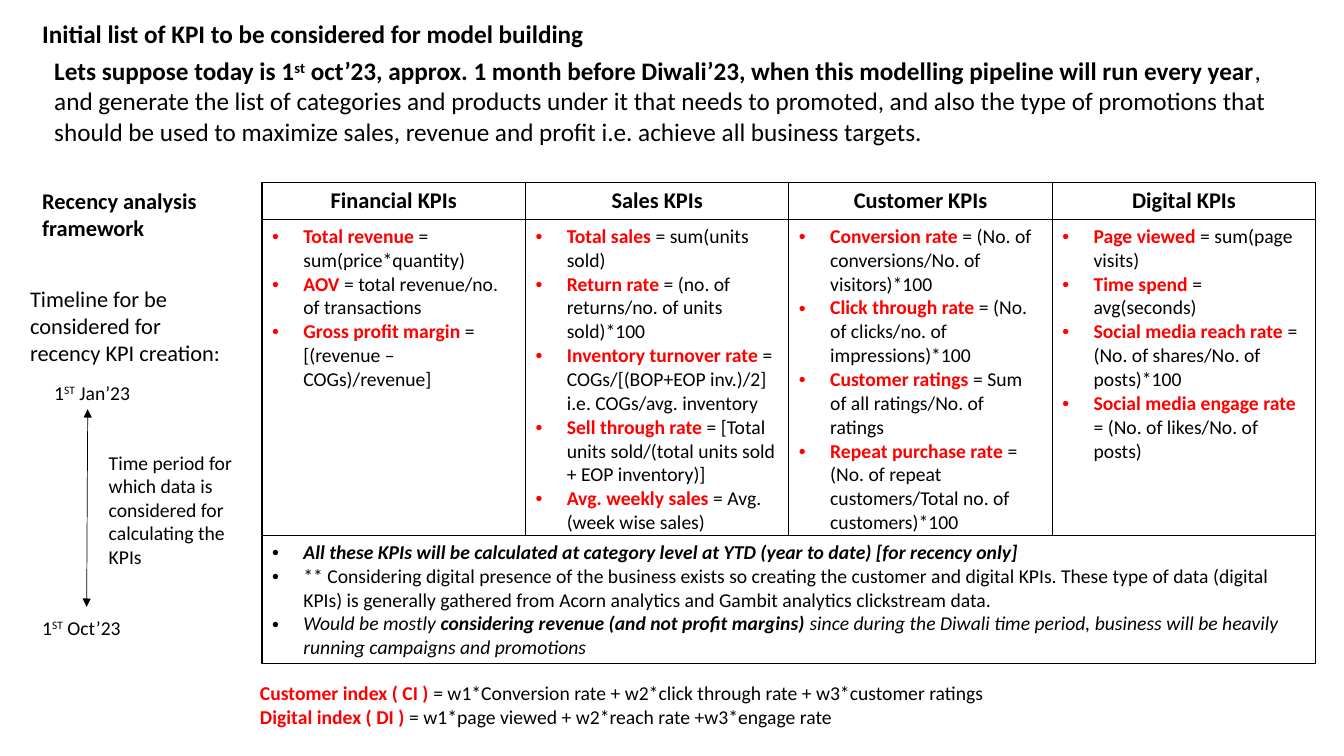
import pptx
import pptx.util
import pptx.dml.color
import pptx.enum.shapes
import pptx.enum.text
import pptx.oxml
import pptx.oxml.ns

FONT = "Calibri"
BLACK, RED = "000000", "FF0000"
A = pptx.oxml.ns.nsdecls("a")

prs = pptx.Presentation()
prs.slide_width = pptx.util.Inches(13.33)
prs.slide_height = pptx.util.Inches(7.5)
s = prs.slides.add_slide(prs.slide_layouts[6])

# Grid: 100 columns by 100 rows
col, row = prs.slide_width / 100, prs.slide_height / 100


def rgb(value):
    return pptx.dml.color.RGBColor.from_string(value)


def write(tf, size, paragraphs, bullets=False):
    """Each run is (text, style): b bold, i italic, r red, ^ superscript."""
    for n, runs in enumerate(paragraphs):
        p = tf.add_paragraph() if n else tf.paragraphs[0]
        for text, style in runs:
            r = p.add_run()
            r.text = text
            r.font.name, r.font.size = FONT, pptx.util.Pt(size)
            r.font.bold, r.font.italic = "b" in style, "i" in style
            r.font.color.rgb = rgb(RED if "r" in style else BLACK)
            if "^" in style:
                r._r.get_or_add_rPr().set("baseline", "30000")
        if bullets:
            indent = pptx.util.Inches(0.31)
            pPr = p._p.get_or_add_pPr()
            pPr.set("marL", str(indent))
            pPr.set("indent", str(-indent))
            pPr.append(pptx.oxml.parse_xml(f'<a:buFont {A} typeface="Arial"/>'))
            pPr.append(pptx.oxml.parse_xml(f'<a:buChar {A} char="•"/>'))


# Text boxes: left, top, width, height, size, paragraphs
boxes = [
    (2.4, 1.73, 60.76, 5.33, 18,
     [[("Initial list of KPI to be considered for model building", "b")]]),
    (3.3, 6.67, 92.35, 13.47, 18,
     [[("Lets suppose today is 1", "b"), ("st", "b^"),
       (" oct’23, approx. 1 month before Diwali’23, when this modelling "
        "pipeline will run every year", "b"),
       (", and generate the list of categories and products under it that "
        "needs to promoted, and also the type of promotions that should be "
        "used to maximize sales, revenue and profit i.e. achieve all "
        "business targets.", "")]]),
    (2.4, 24.13, 15.68, 8.53, 16, [[("Recency analysis framework", "b")]]),
    (1.5, 37.07, 15.98, 12.13, 16,
     [[("Timeline for be considered for recency KPI creation:", "")]]),
    (3.3, 49.73, 9.45, 4.53, 14, [[("1", ""), ("ST", "^"), (" Jan’23", "")]]),
    (2.4, 80.8, 9.45, 4.53, 14, [[("1", ""), ("ST", "^"), (" Oct’23", "")]]),
    (7.35, 58.93, 10.73, 17.07, 14,
     [[("Time period for which data is considered for calculating the KPIs", "")]]),
    (18.6, 89.47, 57.91, 7.6, 14,
     [[("Customer index ( CI ) ", "br"),
       ("= w1*Conversion rate + w2*click through rate + w3*customer ratings", "")],
      [("Digital index ( DI ) ", "br"),
       ("= w1*page viewed + w2*reach rate +w3*engage rate", "")]]),
]
for left, top, width, height, size, paragraphs in boxes:
    box = s.shapes.add_textbox(int(left * col), int(top * row),
                               int(width * col), int(height * row))
    tf = box.text_frame
    tf.word_wrap = True
    tf.auto_size = pptx.enum.text.MSO_AUTO_SIZE.SHAPE_TO_FIT_TEXT
    write(tf, size, paragraphs)

# KPI table: one column per group, notes across the last row
kpis = {
    "Financial KPIs": [
        ("Total revenue ", "= sum(price*quantity)"),
        ("AOV", " = total revenue/no. of transactions"),
        ("Gross profit margin ", "= [(revenue – COGs)/revenue]")],
    "Sales KPIs": [
        ("Total sales ", "= sum(units sold)"),
        ("Return rate ", "= (no. of returns/no. of units sold)*100"),
        ("Inventory turnover rate ",
         "= COGs/[(BOP+EOP inv.)/2] i.e. COGs/avg. inventory"),
        ("Sell through rate ",
         "= [Total units sold/(total units sold + EOP inventory)]"),
        ("Avg. weekly sales ", "= Avg.(week wise sales)")],
    "Customer KPIs": [
        ("Conversion rate ", "= (No. of conversions/No. of visitors)*100"),
        ("Click through rate ", "= (No. of clicks/no. of impressions)*100"),
        ("Customer ratings ", "= Sum of all ratings/No. of ratings"),
        ("Repeat purchase rate ",
         "= (No. of repeat customers/Total no. of customers)*100")],
    "Digital KPIs": [
        ("Page viewed ", "= sum(page visits)"),
        ("Time spend ", "= avg(seconds)"),
        ("Social media reach rate ", "= (No. of shares/No. of posts)*100"),
        ("Social media engage rate ", "= (No. of likes/No. of posts)")],
}
notes = [
    [("All these KPIs will be calculated at category level at YTD "
      "(year to date) [for recency only]", "bi")],
    [("** Considering digital presence of the business exists so creating "
      "the customer and digital KPIs. These type of data (digital KPIs) is "
      "generally gathered from Acorn analytics and Gambit analytics "
      "clickstream data.", "")],
    [("Would be mostly ", "i"),
     ("considering revenue (and not profit margins)", "bi"),
     (" since during the Diwali time period, business will be heavily "
      "running campaigns and promotions", "i")],
]
row_heights = [4.93, 41.73, 16.93]
table = s.shapes.add_table(
    len(row_heights), len(kpis), int(19.5 * col), int(24.13 * row),
    int(78.4 * col), int(sum(row_heights) * row)).table
table.first_row = table.horz_banding = False
for table_row, height in zip(table.rows, row_heights):
    table_row.height = int(height * row)

for cell in table.iter_cells():
    tcPr = cell._tc.get_or_add_tcPr()
    for side in ("lnL", "lnR", "lnT", "lnB"):
        tcPr.append(pptx.oxml.parse_xml(
            f'<a:{side} {A} w="{pptx.util.Pt(1)}"><a:solidFill>'
            f'<a:srgbClr val="{BLACK}"/></a:solidFill></a:{side}>'))
    cell.fill.background()

for c, (group, items) in enumerate(kpis.items()):
    head = table.cell(0, c).text_frame
    write(head, 16, [[(group, "b")]])
    head.paragraphs[0].alignment = pptx.enum.text.PP_ALIGN.CENTER
    write(table.cell(1, c).text_frame, 14,
          [[(name, "br"), (formula, "")] for name, formula in items], bullets=True)

table.cell(2, 0).merge(table.cell(2, len(kpis) - 1))
write(table.cell(2, 0).text_frame, 14, notes, bullets=True)

# Timeline arrow
arrow = s.shapes.add_connector(
    pptx.enum.shapes.MSO_CONNECTOR.STRAIGHT,
    int(6.53 * col), int(54.13 * row), int(6.45 * col), int(80.27 * row))
arrow.line.color.rgb = rgb(BLACK)
arrow.line.width = pptx.util.Pt(0.5)
for end in ("headEnd", "tailEnd"):
    arrow.line._get_or_add_ln().append(
        pptx.oxml.parse_xml(f'<a:{end} {A} type="triangle"/>'))
arrow._element.spPr.append(pptx.oxml.parse_xml(f"<a:effectLst {A}/>"))

prs.save("out.pptx")
